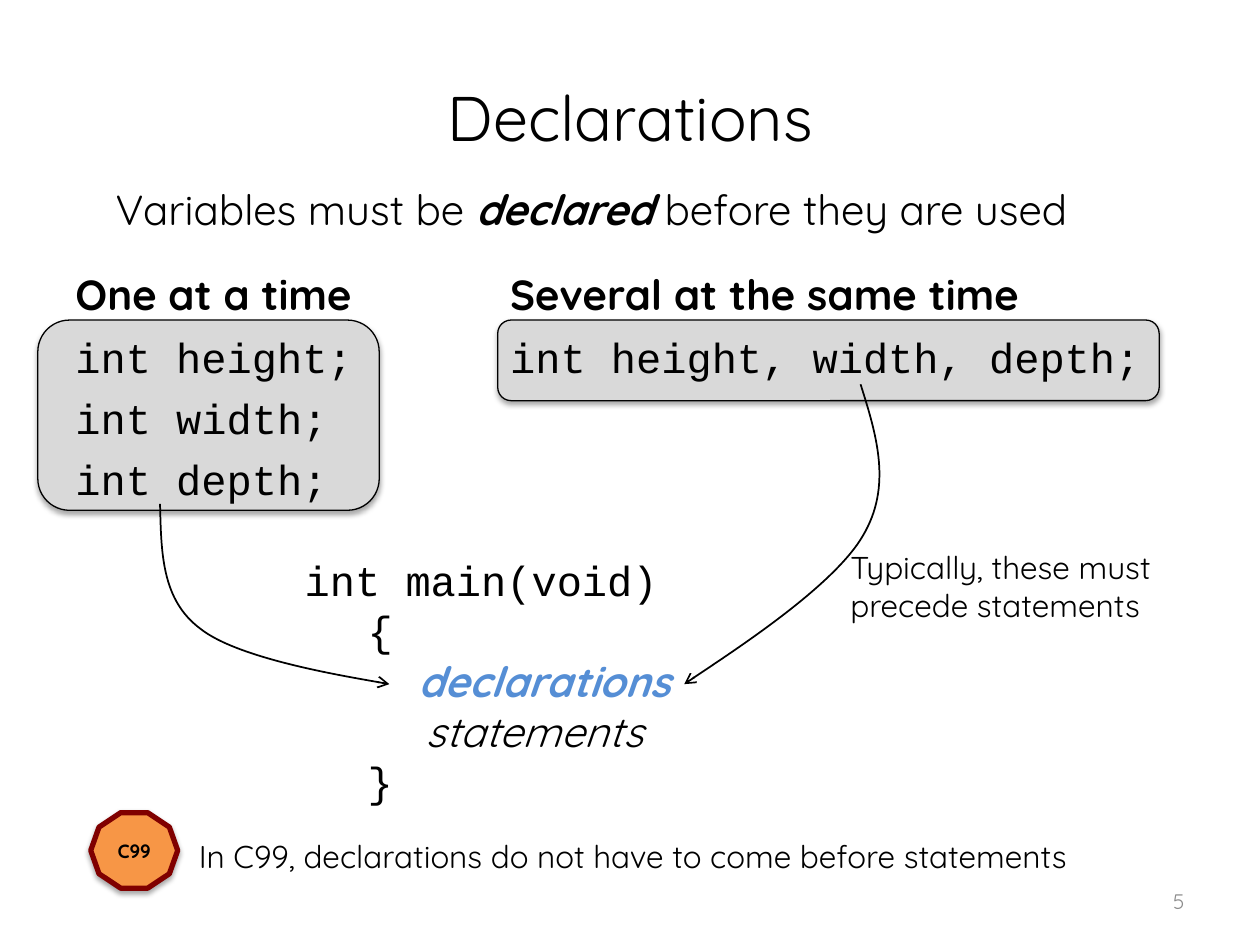
"""Build a slide on declaring variables in C."""
from dataclasses import dataclass

from lxml import etree
from pptx import Presentation
from pptx import util as u
from pptx.dml import color
from pptx.enum import shapes, text
from pptx.oxml import ns


@dataclass(frozen=True)
class Theme:
    sans: str = "Quicksand"
    mono: str = "Courier New"
    ink: str = "000000"
    blue: str = "558ED5"
    gray: str = "8C8C8C"
    panel: str = "D9D9D9"
    badge: str = "F79646"
    edge: str = "800000"
    head: int = 36
    body: int = 24
    note: int = 18
    page: int = 12
    tag: int = 11


T = Theme()
MID, LOW = text.MSO_ANCHOR.MIDDLE, text.MSO_ANCHOR.BOTTOM
MAIN = [
    [("int main(void)", {})],
    [("{", {"inset": 0.5})],
    [("declarations", {"inset": 0.9, "font": T.sans, "tint": T.blue,
                       "bold": True, "slant": True})],
    [("statements", {"inset": 0.96, "font": T.sans, "slant": True})],
    [("}", {"inset": 0.5})],
]


def rgb(code):
    return color.RGBColor.from_string(code)


def add(parent, tag, **attrs):
    return etree.SubElement(parent, ns.qn(tag), {k: str(v) for k, v in attrs.items()})


def style(run, font=T.sans, size=T.body, tint=T.ink, bold=False, slant=False):
    run.text = run.text
    face = run.font
    face.name, face.size = font, u.Pt(size)
    face.bold, face.italic = bold, slant
    face.color.rgb = rgb(tint)


def write(frame, lines, align="LEFT", anchor=text.MSO_ANCHOR.TOP, gap=0, wrap=True, **base):
    """Fill a frame with lines, each a string or a list of (words, format) runs."""
    frame.word_wrap, frame.vertical_anchor = wrap, anchor
    for i, line in enumerate(lines):
        para = frame.add_paragraph() if i else frame.paragraphs[0]
        para.alignment = getattr(text.PP_ALIGN, align)
        para.space_before = u.Pt(gap)
        for words, own in [(line, {})] if isinstance(line, str) else line:
            form = {**base, **own}
            inset = form.pop("inset", 0)
            if inset:
                para._p.get_or_add_pPr().set("marL", str(u.Inches(inset)))
            run = para.add_run()
            run.text = words
            style(run, **form)


def label(slide, box, lines, **form):
    area = slide.shapes.add_textbox(*map(u.Inches, box))
    write(area.text_frame, lines, **form)


def panel(slide, kind, box, fill, edge, width):
    """Add a filled shape with a soft shadow below it."""
    shape = slide.shapes.add_shape(kind, *map(u.Inches, box))
    shape.fill.solid()
    shape.fill.fore_color.rgb = rgb(fill)
    shape.line.color.rgb = rgb(edge)
    shape.line.width = u.Pt(width)
    shape.shadow.inherit = False
    glow = add(shape._element.spPr.find(ns.qn("a:effectLst")), "a:outerShdw",
               blurRad=u.Pt(3.1), dist=u.Pt(1.8), dir=5400000, rotWithShape=0)
    add(add(glow, "a:srgbClr", val=T.ink), "a:alpha", val=35000)
    return shape


def curve(slide, points):
    """Draw an arrow along Bezier arcs: a start, then three points per arc."""
    (x, y), *rest = points
    draft = slide.shapes.build_freeform(x * 1000, y * 1000, u.Inches(1) / 1000)
    draft.add_line_segments([(a * 1000, b * 1000) for a, b in rest], close=False)
    shape = draft.convert_to_shape()
    shape.fill.background()
    shape.line.color.rgb = rgb(T.ink)
    shape.line.width = u.Pt(1)
    shape.shadow.inherit = False
    track = shape._element.spPr.find(".//" + ns.qn("a:path"))
    steps = track.findall(ns.qn("a:lnTo"))
    for i in range(0, len(steps), 3):
        arc = add(track, "a:cubicBezTo")
        for step in steps[i:i + 3]:
            arc.append(step[0])
            track.remove(step)
    add(shape.line._get_or_add_ln(), "a:tailEnd", type="arrow")


def title(slide, words):
    head = slide.shapes.title
    head.left, head.top, head.width, head.height = map(u.Inches, (0.5, 0.3, 9, 1.25))
    write(head.text_frame, [words], align="CENTER", anchor=MID, size=T.head)


def sample(slide, left, width, name, code):
    """Add a bold heading with lines of code below it."""
    label(slide, (left, 1.88, width, 0.7), [name], anchor=LOW, bold=True)
    label(slide, (left, 2.58, width, 1.68), code, font=T.mono, gap=6)


def main():
    deck = Presentation()
    deck.slide_width, deck.slide_height = u.Inches(10), u.Inches(7.5)
    slide = deck.slides.add_slide(deck.slide_layouts[5])
    title(slide, "Declarations")

    for box in ((3.95, 2.54, 5.25, 0.64), (0.3, 2.54, 2.71, 1.51)):
        panel(slide, shapes.MSO_SHAPE.ROUNDED_RECTANGLE, box, T.panel, T.ink, 0.75)
    curve(slide, [(1.27, 4), (1.28, 4.38), (1.28, 4.76), (1.59, 4.99),
                  (1.89, 5.23), (3.09, 5.43), (3.09, 5.43)])
    curve(slide, [(6.83, 3.05), (6.96, 3.46), (7.08, 3.86), (6.85, 4.25),
                  (6.62, 4.65), (5.71, 5.24), (5.43, 5.43)])

    names = ("height", "width", "depth")
    sample(slide, 0.5, 4.42, "One at a time", [f"int {name};" for name in names])
    sample(slide, 3.95, 5.55, "Several at the same time", [f"int {', '.join(names)};"])

    label(slide, (0.82, 1.41, 8.39, 0.5), [[
        ("Variables must be ", {}),
        ("declared", {"bold": True, "slant": True}),
        (" before they are used", {}),
    ]])
    label(slide, (2.32, 4.35, 5, 2.12), MAIN, font=T.mono)
    label(slide, (6.65, 4.3, 3.25, 0.71),
          ["Typically, these must precede statements"], size=T.note)
    label(slide, (1.48, 6.59, 8.16, 0.4),
          ["In C99, declarations do not have to come before statements"], size=T.note)
    label(slide, (7.17, 6.95, 2.33, 0.4), ["5"], align="RIGHT", anchor=MID,
          size=T.page, tint=T.gray)

    badge = panel(slide, shapes.MSO_SHAPE.DECAGON, (0.72, 6.45, 0.69, 0.6),
                  T.badge, T.edge, 3)
    write(badge.text_frame, ["C99"], align="CENTER", anchor=MID, wrap=False,
          size=T.tag, bold=True)
    deck.save("out.pptx")


if __name__ == "__main__":
    main()
